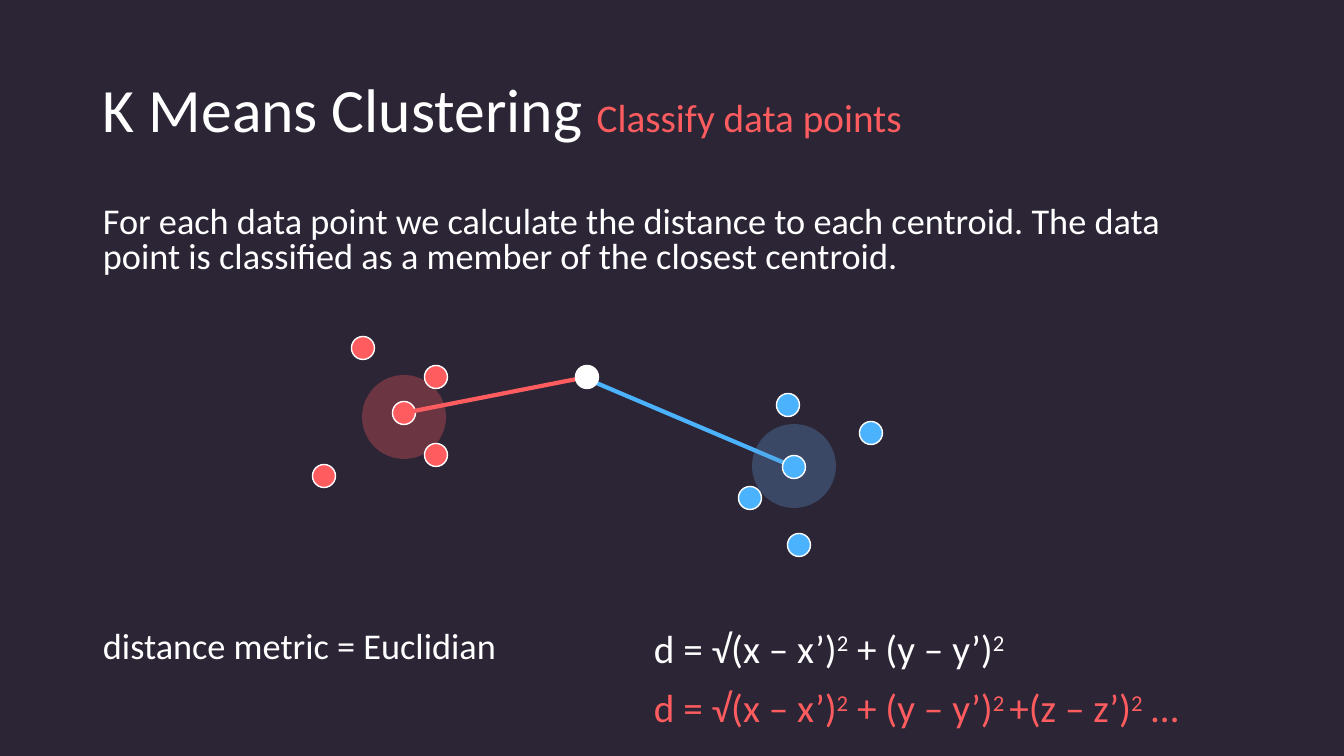
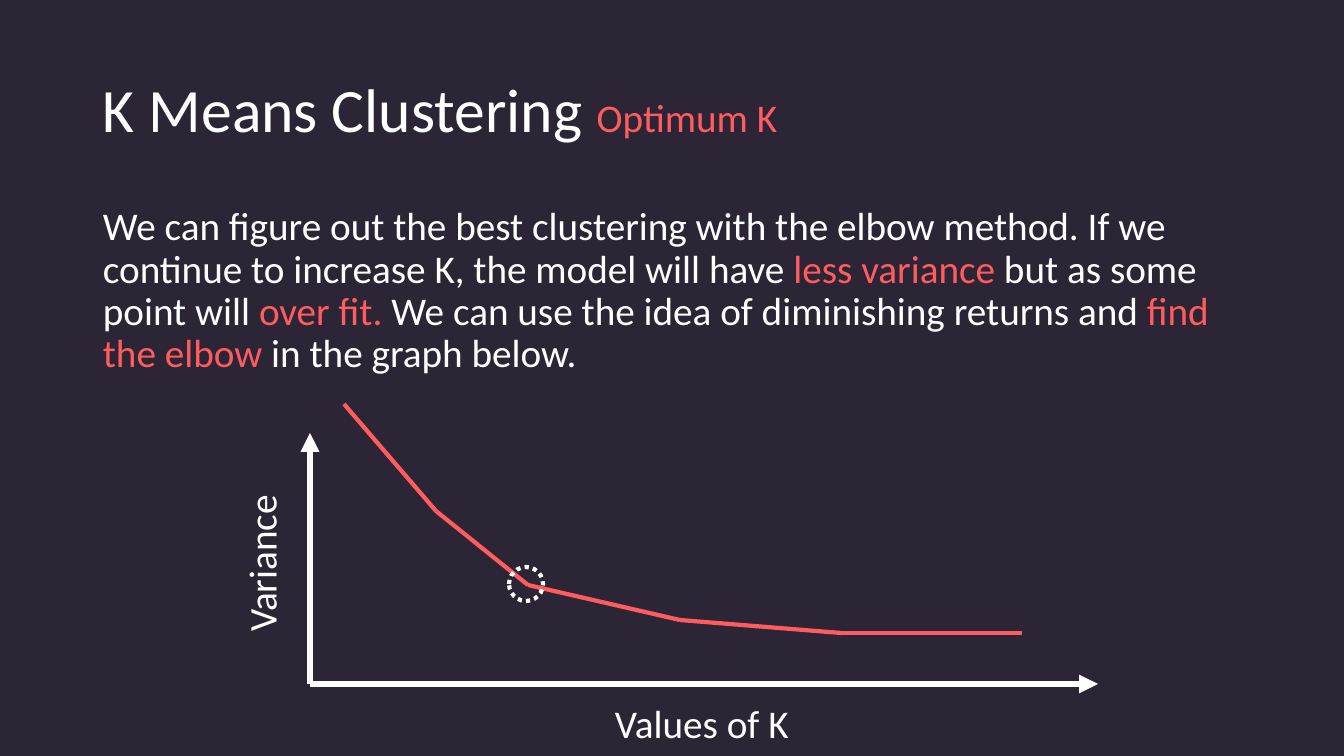
"""Build two slides on K Means Clustering: classifying points and choosing K."""
from dataclasses import dataclass
from itertools import pairwise

from lxml import etree
from pptx import Presentation
from pptx.dml.color import RGBColor
from pptx.enum.dml import MSO_LINE
from pptx.enum.shapes import MSO_CONNECTOR, MSO_SHAPE
from pptx.enum.text import MSO_ANCHOR, PP_ALIGN
from pptx.oxml.ns import qn
from pptx.util import Emu, Pt

ELLIPSE, STRAIGHT = MSO_SHAPE.OVAL, MSO_CONNECTOR.STRAIGHT
TOP, MIDDLE = MSO_ANCHOR.TOP, MSO_ANCHOR.MIDDLE
LEFT, CENTER = PP_ALIGN.LEFT, PP_ALIGN.CENTER
DOTTED = MSO_LINE.ROUND_DOT


@dataclass(frozen=True)
class Theme:
    """Colours, font, type sizes and line widths shared by the slides."""
    background: RGBColor = RGBColor.from_string("2C2536")
    white: RGBColor = RGBColor.from_string("FFFFFF")
    red: RGBColor = RGBColor.from_string("FE5C5E")
    blue: RGBColor = RGBColor.from_string("4BB3FD")
    blue_halo: RGBColor = RGBColor.from_string("5B9BD5")
    font: str = "Calibri"
    title: float = 44
    text: float = 28
    small_text: float = 25.9
    outline: float = 1
    stroke: float = 3
    axis: float = 4.5


THEME = Theme()


def px(length):
    return Emu(round(length * 914400 / 100.8))


def add_text(slide, box, runs, size=THEME.text, spacing=0.8, anchor=TOP, align=LEFT):
    """Add a text box whose runs are (text, colour[, size or "super"])."""
    text_box = slide.shapes.add_textbox(*map(px, box))
    frame = text_box.text_frame
    frame.word_wrap = True
    frame.vertical_anchor = anchor
    paragraph = frame.paragraphs[0]
    paragraph.alignment = align
    paragraph.line_spacing = spacing
    for text, color, *style in runs:
        run = paragraph.add_run()
        run.text = text
        run.font.name = THEME.font
        run.font.color.rgb = color
        run.font.size = Pt(size)
        if style == ["super"]:
            run.font._element.set("baseline", "30000")
        elif style:
            run.font.size = Pt(style[0])
    return text_box


def add_line(slide, start, end, color, width=THEME.stroke, arrow=False):
    line = slide.shapes.add_connector(STRAIGHT, *map(px, (*start, *end)))
    line.line.color.rgb = color
    line.line.width = Pt(width)
    if arrow:
        etree.SubElement(line.line._get_or_add_ln(), qn("a:tailEnd"), type="triangle")
    etree.SubElement(line._element.spPr, qn("a:effectLst"))
    return line


presentation = Presentation()
presentation.slide_width, presentation.slide_height = px(1344), px(756)
master_fill = presentation.slide_master.background.fill
master_fill.solid()
master_fill.fore_color.rgb = THEME.background

slides = []
for subtitle in ("Classify data points", "Optimum K"):
    slide = presentation.slides.add_slide(presentation.slide_layouts[6])
    add_text(slide, (93, 40, 1159, 146),
             [("K Means Clustering ", THEME.white, THEME.title), (subtitle, THEME.red)],
             spacing=0.9, anchor=MIDDLE)
    slides.append(slide)
classify, optimum = slides

add_text(classify, (93, 202, 1159, 90),
         [("For each data point we calculate the distance to each centroid. "
           "The data point is classified as a member of the closest centroid.", THEME.white)],
         size=THEME.small_text)
add_text(classify, (93, 627, 500, 50),
         [("distance metric = Euclidian", THEME.white)], size=THEME.small_text)

new_point = (587, 377)
red_centroid, blue_centroid = (404, 413), (794, 467)
red_points = [red_centroid, (436, 377), (436, 455), (363, 348), (324, 476)]
blue_points = [blue_centroid, (871, 433), (799, 545), (750, 498), (788, 405)]

add_line(classify, (587, 379), blue_centroid, THEME.blue)
circles = [((794, 466), 84, THEME.blue_halo), ((404, 417), 84, THEME.red)]
circles += [(point, 23, THEME.red) for point in red_points]
circles += [(point, 23, THEME.blue) for point in blue_points]
circles.append((new_point, 23, THEME.white))
for (x, y), diameter, color in circles:
    circle = classify.shapes.add_shape(
        ELLIPSE, px(x - diameter / 2), px(y - diameter / 2), px(diameter), px(diameter))
    circle.shadow.inherit = False
    circle.fill.solid()
    circle.fill.fore_color.rgb = color
    if diameter == 84:
        circle.line.fill.background()
        fill_color = circle._element.spPr.find(".//" + qn("a:srgbClr"))
        etree.SubElement(fill_color, qn("a:alpha"), val="30000")
    else:
        circle.line.color.rgb = THEME.white
        circle.line.width = Pt(THEME.outline)
red_distance = add_line(classify, red_centroid, new_point, THEME.red)
circle._element.addprevious(red_distance._element)

planar = [("d = √(x – x’)", "2"), (" + (y – y’)", "2")]
spatial = [("d = √(x – x’)", "2"), (" + (y – y’)", "2 "), ("+(z – z’)", "2")]
for box, terms, color, ending, spacing in (
        ((644, 628, 433, 50), planar, THEME.white, "", 0.8),
        ((644, 684, 621, 54), spatial, THEME.red, " …", 0.9)):
    formula = []
    for term, power in terms:
        formula += [(term, color), (power, color, "super")]
    if ending:
        formula.append((ending, color))
    add_text(classify, box, formula, spacing=spacing)

add_text(optimum, (93, 202, 1177, 222), [
    ("We can figure out the best clustering with the elbow method. If we continue to "
     "increase K, the model will have ", THEME.white),
    ("less variance ", THEME.red),
    ("but as some point will ", THEME.white),
    ("over fit.", THEME.red),
    (" We can use the idea of diminishing returns and ", THEME.white),
    ("find the elbow ", THEME.red),
    ("in the graph below.", THEME.white),
], spacing=0.9)

axis_origin = (310, 684)
for axis_end in ((310, 433), (1098, 684)):
    add_line(optimum, axis_origin, axis_end, THEME.white, THEME.axis, arrow=True)

elbow = (528, 585)
variance_curve = [(344, 404), (436, 511), elbow, (680, 620), (841, 633), (1022, 633)]
for start, end in pairwise(variance_curve):
    add_line(optimum, start, end, THEME.red)

add_text(optimum, (605, 703, 260, 49), [("Values of K", THEME.white)])
variance_label = add_text(optimum, (136, 539, 260, 49),
                          [("Variance", THEME.white)], align=CENTER)
variance_label.rotation = 270

elbow_ring = optimum.shapes.add_shape(ELLIPSE, px(509), px(567), px(34), px(34))
elbow_ring.shadow.inherit = False
elbow_ring.fill.background()
elbow_ring.line.color.rgb = THEME.white
elbow_ring.line.width = Pt(THEME.stroke)
elbow_ring.line.dash_style = DOTTED

presentation.save("out.pptx")
